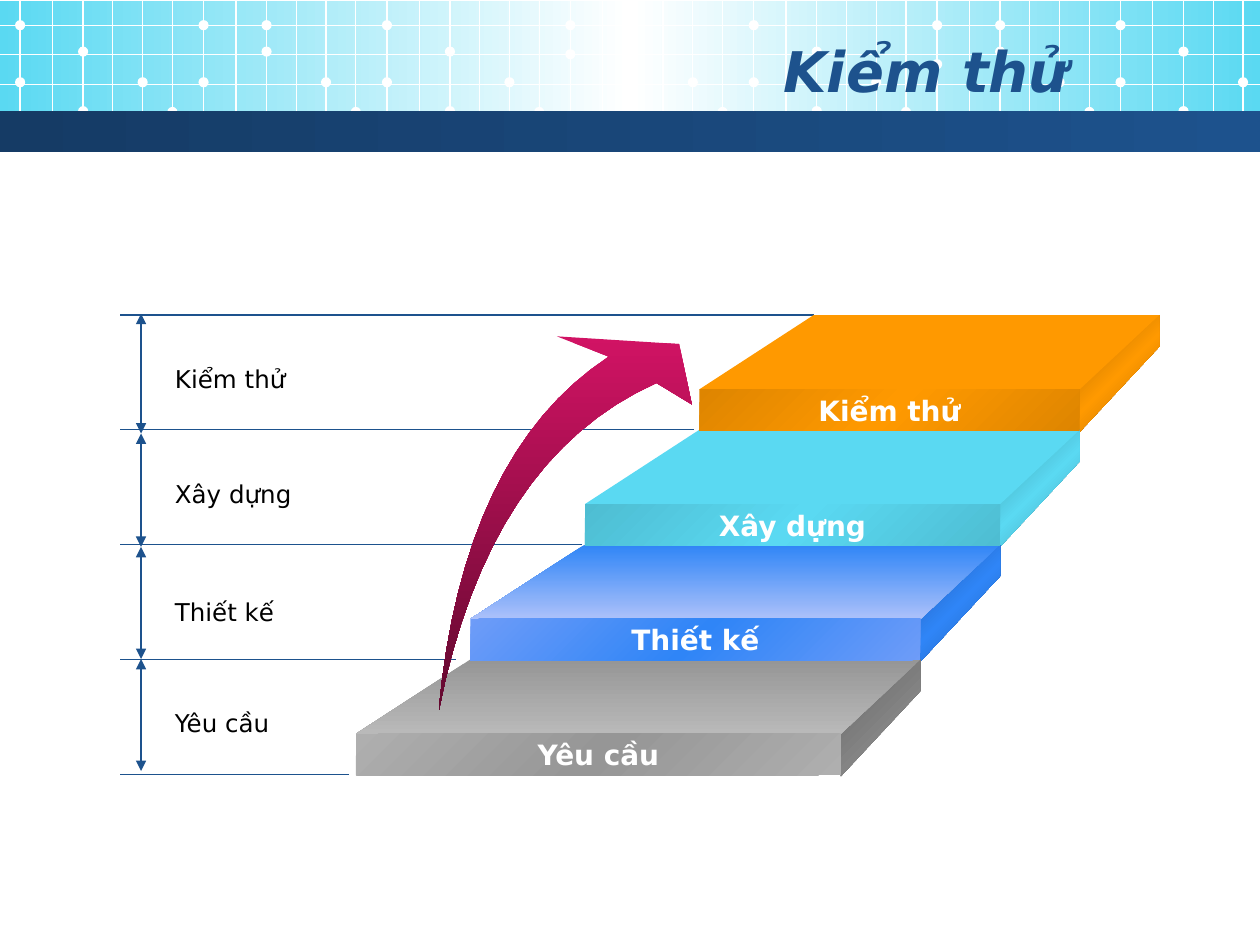
from lxml import etree
from pptx import Presentation
from pptx.dml.color import RGBColor
from pptx.enum import shapes, text
from pptx.oxml import ns
from pptx.util import Pt

FONT = "DejaVu Sans"
NAVY = RGBColor(0x1D, 0x52, 0x8D)
DEEP_NAVY = RGBColor(0x15, 0x3B, 0x65)
WHITE = RGBColor(0xFF, 0xFF, 0xFF)
BLACK = RGBColor(0, 0, 0)
ORANGE = RGBColor(0xFF, 0x99, 0x00)
ORANGE_MID = RGBColor(0xDE, 0x85, 0x00)
ORANGE_DARK = RGBColor(0xB6, 0x6D, 0x00)
CYAN = RGBColor(0x5A, 0xD9, 0xF2)
CYAN_MID = RGBColor(0x4E, 0xBD, 0xD2)
CYAN_DARK = RGBColor(0x40, 0x9B, 0xAD)
BLUE = RGBColor(0x2F, 0x85, 0xF7)
BLUE_MID = RGBColor(0x6E, 0x9C, 0xF8)
BLUE_DARK = RGBColor(0x22, 0x5F, 0xB1)
BLUE_PALE = RGBColor(0xAC, 0xC1, 0xFA)
GREY = RGBColor(0x96, 0x96, 0x96)
GREY_MID = RGBColor(0xAF, 0xAF, 0xAF)
GREY_DARK = RGBColor(0x6B, 0x6B, 0x6B)
GREY_PALE = RGBColor(0xB9, 0xB9, 0xB9)
PINK = RGBColor(0xD1, 0x13, 0x64)
WINE = RGBColor(0x61, 0x09, 0x2E)

TITLE = "Kiểm thử"
STEPS = [
    {"name": "Kiểm thử", "label": (204.5, 79), "top": [ORANGE],
     "side": [ORANGE_DARK, ORANGE, ORANGE_DARK], "front": [ORANGE_MID, ORANGE, ORANGE_MID]},
    {"name": "Xây dựng", "label": (270, 82), "top": [CYAN],
     "side": [CYAN_DARK, CYAN, CYAN_DARK], "front": [CYAN_MID, CYAN, CYAN_MID]},
    {"name": "Thiết kế", "label": (337.5, 72), "top": [BLUE, BLUE_PALE],
     "side": [BLUE_DARK, BLUE, BLUE_DARK], "front": [BLUE_MID, BLUE, BLUE_MID]},
    {"name": "Yêu cầu", "label": (401, 70.5), "top": [GREY, GREY_PALE],
     "side": [GREY_DARK, GREY], "front": [GREY_MID, GREY, GREY_MID]},
]
GUIDE_ENDS = [465, 396.5, 332.5, 260.5, 199.5]
SPAN_MARKS = [179.3, 247.7, 312.5, 376.6, 440.6]
STEP_RISE, STEP_LEFT, STEP_RIGHT = 65.6, 65.4, 45.5
TOP_DEPTH, FRONT_HEIGHT, SIDE_HEIGHT = 42.5, 23.75, 18

GRID_OFFSETS = [0, 18.5, 36, 53, 70, 87]
GRID_ROWS = [14.4, 31, 48.2, 64]
GRID_PERIOD, GRID_START, GRID_BLOCKS = 104.8, 11.5, 7
DOT = 5.8
DOT_ROWS = [
    {0: [14.4, 47], 2: [29.5, 63.5], 4: [47], 5: [64]},
    {0: [14.4, 47], 2: [29.5, 14.4], 4: [47], 5: [64]},
]
ODD_DOTS = {3: 31, 5: 36.7}

deck = Presentation()
deck.slide_width, deck.slide_height = Pt(720), Pt(540)
slide = deck.slides.add_slide(deck.slide_layouts[5])


def paint(shape, colours, angle=0):
    shape.shadow.inherit = False
    shape.line.fill.background()
    if len(colours) == 1:
        shape.fill.solid()
        shape.fill.fore_color.rgb = colours[0]
        return
    shape.fill.gradient()
    shape.fill.gradient_angle = -angle % 360
    stops = shape._element.spPr.find(ns.qn("a:gradFill")).find(ns.qn("a:gsLst"))
    for stop in list(stops):
        stops.remove(stop)
    for i, colour in enumerate(colours):
        stop = etree.SubElement(stops, ns.qn("a:gs"), pos=str(100000 * i // (len(colours) - 1)))
        etree.SubElement(stop, ns.qn("a:srgbClr"), val=str(colour))


def block(kind, left, top, width, height, colours, angle=0):
    shape = slide.shapes.add_shape(kind, Pt(left), Pt(top), Pt(width), Pt(height))
    paint(shape, colours, angle)
    return shape


def outline(points, colours, angle):
    corners = [(Pt(x), Pt(y)) for x, y in points]
    builder = slide.shapes.build_freeform(*corners[0])
    builder.add_line_segments(corners[1:])
    paint(builder.convert_to_shape(), colours, angle)


def rule(x1, y1, x2, y2, colour, arrows=False):
    line = slide.shapes.add_connector(shapes.MSO_CONNECTOR.STRAIGHT, Pt(x1), Pt(y1), Pt(x2), Pt(y2))
    line.line.color.rgb = colour
    line.line.width = Pt(0.75)
    properties = line._element.spPr
    if arrows:
        for end in ("a:headEnd", "a:tailEnd"):
            etree.SubElement(properties.find(ns.qn("a:ln")), ns.qn(end), type="triangle")
    etree.SubElement(properties, ns.qn("a:effectLst"))


def write(shape, words, size, colour, align, bold=False, italic=False):
    shape.text_frame.text = words
    paragraph = shape.text_frame.paragraphs[0]
    paragraph.alignment = align
    font = paragraph.runs[0].font
    font.name, font.size, font.bold, font.italic = FONT, Pt(size), bold, italic
    font.color.rgb = colour


def curve(start, control, end, count=16):
    ts = [i / count for i in range(count + 1)]
    return [tuple((1 - t) ** 2 * a + 2 * t * (1 - t) * b + t * t * c
                  for a, b, c in zip(start, control, end)) for t in ts]


RECT, OVAL = shapes.MSO_SHAPE.RECTANGLE, shapes.MSO_SHAPE.OVAL
block(RECT, 0, 0.7, 720, 73.5, [CYAN, WHITE, CYAN])
for i in range(GRID_BLOCKS):
    for column, offset in enumerate(GRID_OFFSETS):
        x = GRID_START + i * GRID_PERIOD + offset
        if x > 715:
            continue
        rule(x, 0, x, 79, WHITE)
        rows = DOT_ROWS[i % 2].get(column, [])
        if column == 0 and i in ODD_DOTS:
            rows = [rows[0], ODD_DOTS[i]]
        for y in rows:
            block(OVAL, x - DOT / 2, y - DOT / 2, DOT, DOT, [WHITE])
for y in GRID_ROWS:
    rule(0, y, 720, y, WHITE)
block(RECT, 0, 63.2, 720, 23.8, [DEEP_NAVY, NAVY])

title = slide.shapes.title
title.left, title.top, title.width, title.height = Pt(36), Pt(18), Pt(582), Pt(44.6)
title.text_frame.vertical_anchor = text.MSO_ANCHOR.MIDDLE
write(title, TITLE, 32, NAVY, text.PP_ALIGN.RIGHT, bold=True, italic=True)
slide.shapes._spTree.append(title._element)

for i, end in enumerate(GUIDE_ENDS):
    y = 180 + i * STEP_RISE
    rule(end, y, 68.4, y, NAVY)
for upper, lower in zip(SPAN_MARKS, SPAN_MARKS[1:]):
    rule(80.6, upper, 80.6, lower, NAVY, arrows=True)
for step in STEPS:
    top, width = step["label"]
    label = slide.shapes.add_textbox(Pt(92.9), Pt(top), Pt(width), Pt(24.5))
    label.text_frame.word_wrap = False
    label.text_frame.auto_size = text.MSO_AUTO_SIZE.SHAPE_TO_FIT_TEXT
    write(label, step["name"], 14, BLACK, text.PP_ALIGN.LEFT)

for i, step in enumerate(STEPS):
    left, right, back = 399.6 - i * STEP_LEFT, 617 - i * STEP_RIGHT, 180 + i * STEP_RISE
    back_right, front = right + STEP_RIGHT, back + TOP_DEPTH
    step["face"] = (left, front, right - left, FRONT_HEIGHT)
    outline([(back_right, back + SIDE_HEIGHT), (right, front + FRONT_HEIGHT + 0.5),
             (right, front), (back_right, back)], step["side"], 45)
    outline([(right, front), (left, front), (left + STEP_LEFT, back), (back_right, back)],
            step["top"], 90)

tail = (250.6, 406.8)
outer = curve(tail, (264.2, 259.2), (347.8, 203.8))
head = [(318.2, 192.2), (388.1, 196.6), (395.3, 231.1)]
inner = curve((375.1, 218.9), (279, 261.7), tail)
outline(outer + head + inner, [PINK, WINE], 90)

for step in STEPS:
    face = block(RECT, *step["face"], step["front"], 45)
    face.text_frame.word_wrap = False
    face.text_frame.vertical_anchor = text.MSO_ANCHOR.MIDDLE
    write(face, step["name"], 16, WHITE, text.PP_ALIGN.CENTER, bold=True)

deck.save("out.pptx")
